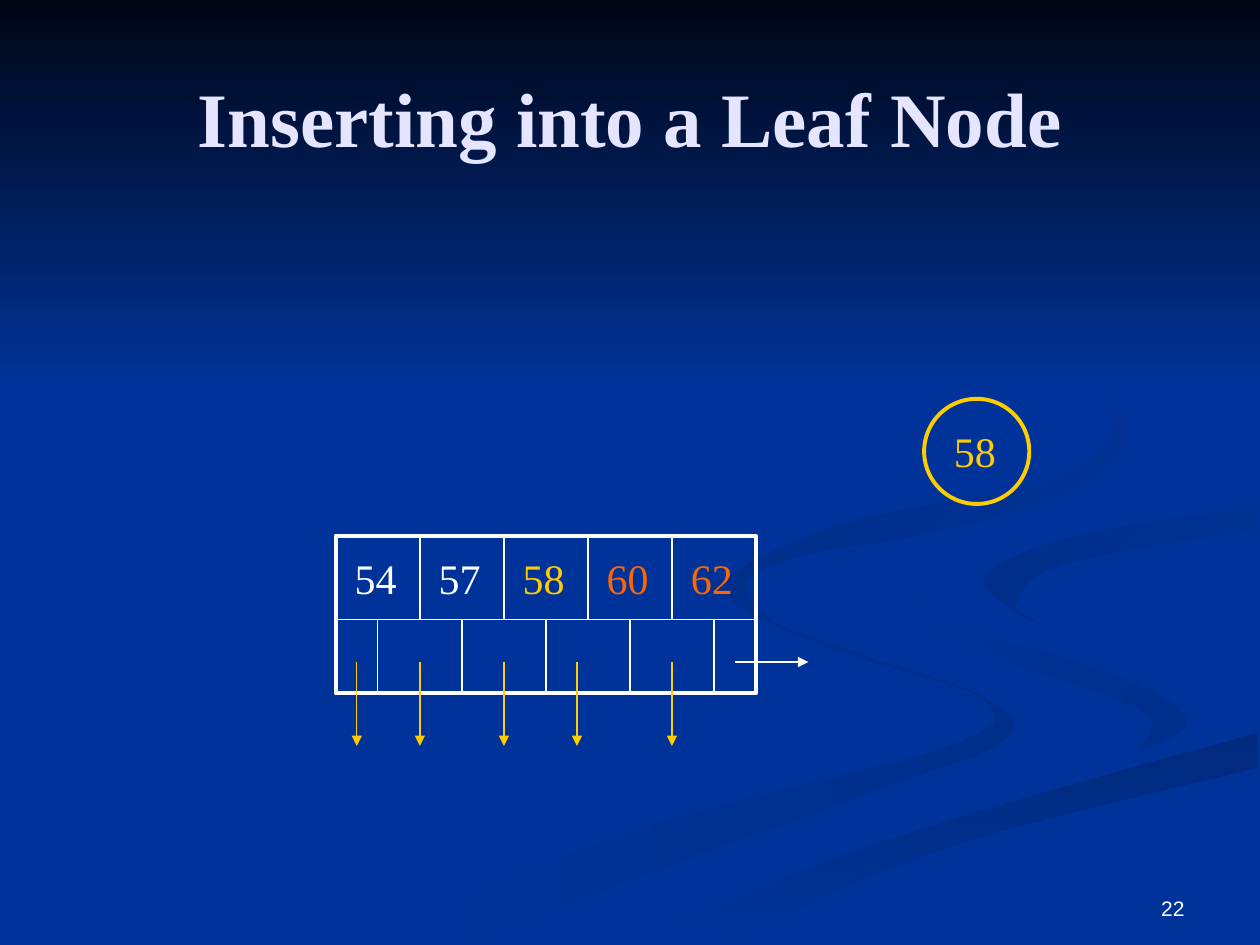
from lxml import etree
from pptx import Presentation
from pptx.dml.color import RGBColor
from pptx.enum.shapes import MSO_CONNECTOR, MSO_SHAPE
from pptx.enum.text import MSO_ANCHOR, MSO_AUTO_SIZE, PP_ALIGN
from pptx.oxml.ns import qn
from pptx.util import Cm, Pt

LEFT, CENTER, RIGHT = PP_ALIGN.LEFT, PP_ALIGN.CENTER, PP_ALIGN.RIGHT
TOP, MIDDLE, BOTTOM = MSO_ANCHOR.TOP, MSO_ANCHOR.MIDDLE, MSO_ANCHOR.BOTTOM
STRAIGHT = MSO_CONNECTOR.STRAIGHT
RECTANGLE, OVAL = MSO_SHAPE.RECTANGLE, MSO_SHAPE.OVAL
FIT_SHAPE = MSO_AUTO_SIZE.SHAPE_TO_FIT_TEXT

SERIF, SANS = "Times New Roman", "Arial"
COLORS = {
    "blue": "003399", "night": "000514", "title": "E5E5FF", "white": "FFFFFF",
    "new": "FFCC00", "shifted": "FF6600",
    "shade1": "002E8B", "shade2": "002A7D", "shade3": "002D86", "shade4": "002B82",
}
SLIDE_W, SLIDE_H = 25.4, 19.05
GRID = 1000  # ribbon points lie on a grid this many units across the slide

# Each ribbon: first colour, last colour, clockwise gradient angle, two edges
RIBBONS = [
    ("shade1", "blue", 180,
     [(575, 459), (594, 485), (682, 519), (781, 553), (797, 588), (676, 634), (361, 749)],
     [(300, 749), (499, 661), (749, 594), (781, 556), (654, 513), (570, 472), (575, 459)]),
    ("shade1", "blue", 225,
     [(724, 464), (758, 498), (870, 530), (943, 570), (894, 605)],
     [(894, 605), (911, 567), (815, 530), (739, 494), (724, 464)]),
    ("shade2", "blue", 90,
     [(503, 749), (630, 693), (764, 647), (998, 581)],
     [(998, 609), (752, 672), (571, 749)]),
    ("blue", "blue", 90,
     [(477, 749), (704, 655), (942, 579), (871, 530), (734, 483), (808, 417), (999, 387)],
     [(999, 402), (781, 463), (999, 538)],
     [(999, 581), (696, 669), (503, 749)]),
    ("blue", "shade3", 225,
     [(826, 496), (781, 460), (850, 427), (998, 402)],
     [(998, 420), (843, 448), (806, 480), (826, 496)]),
    ("blue", "shade4", 225,
     [(762, 233), (864, 291), (889, 362), (786, 412), (624, 444), (593, 470), (622, 500)],
     [(622, 500), (577, 462), (676, 414), (842, 378), (882, 313), (762, 233)]),
]


def rgb(color):
    return RGBColor.from_string(COLORS[color])


def smooth(edge, steps=6):
    """Return points on a Catmull-Rom curve through the points of the edge."""
    padded = [edge[0], *edge, edge[-1]]
    curve = []
    for a, b, c, d in zip(padded, padded[1:], padded[2:], padded[3:]):
        for step in range(steps):
            t = step / steps
            curve.append(tuple(
                q + t / 2 * (r - p + t * (2 * p - 5 * q + 4 * r - s
                                          + t * (3 * (q - r) + s - p)))
                for p, q, r, s in zip(a, b, c, d)))
    return curve + [edge[-1]]


def paint_gradient(shape, first, last, clockwise):
    shape.shadow.inherit = False
    shape.line.fill.background()
    shape.fill.gradient()
    shape.fill.gradient_angle = 360 - clockwise
    for stop, color in zip(shape.fill.gradient_stops, (first, last)):
        stop.color.rgb = rgb(color)


def write(shape, text, *, size=24, font=SERIF, color="white", bold=False,
          align=LEFT, anchor=TOP, wrap=True):
    frame = shape.text_frame
    frame.word_wrap = wrap
    if not wrap:
        frame.auto_size = FIT_SHAPE
    frame.vertical_anchor = anchor
    paragraph = frame.paragraphs[0]
    paragraph.alignment = align
    run = paragraph.add_run()
    run.text = text
    run.font.size, run.font.name, run.font.bold = Pt(size), font, bold
    run.font.color.rgb = rgb(color)


def add_outline(slide, kind, left, top, width, height, color):
    shape = slide.shapes.add_shape(kind, Cm(left), Cm(top), Cm(width), Cm(height))
    shape.shadow.inherit = False
    shape.fill.background()
    shape.line.color.rgb = rgb(color)
    shape.line.width = Pt(2.25)


def add_line(slide, x1, y1, x2, y2, color="white", arrow=False):
    line = slide.shapes.add_connector(STRAIGHT, Cm(x1), Cm(y1), Cm(x2), Cm(y2))
    line.line.color.rgb = rgb(color)
    line.line.width = Pt(0.75)
    properties = line.element.spPr
    if arrow:
        etree.SubElement(properties.find(qn("a:ln")), qn("a:tailEnd"), type="triangle")
    etree.SubElement(properties, qn("a:effectLst"))


def add_key(slide, key, left, top, color):
    box = slide.shapes.add_textbox(Cm(left), Cm(top), Cm(1.45), Cm(1.27))
    write(box, key, color=color, wrap=False)


def add_backdrop(slide, width, sky_height):
    slide.background.fill.solid()
    slide.background.fill.fore_color.rgb = rgb("blue")
    for first, last, angle, *edges in RIBBONS:
        outline = [point for edge in edges for point in smooth(edge)]
        builder = slide.shapes.build_freeform(*outline[0], scale=Cm(width) / GRID)
        builder.add_line_segments(outline[1:], close=True)
        paint_gradient(builder.convert_to_shape(), first, last, angle)
    sky = slide.shapes.add_shape(RECTANGLE, 0, 0, Cm(width), Cm(sky_height))
    paint_gradient(sky, "night", "blue", 90)


def add_title(slide, text, left, top, width, height):
    title = slide.shapes.title
    title.left, title.top = Cm(left), Cm(top)
    title.width, title.height = Cm(width), Cm(height)
    write(title, text, size=44, color="title", bold=True, align=CENTER, anchor=MIDDLE)
    title.element.getparent().append(title.element)  # in front of the backdrop


def add_page_number(slide, number, left, top, width, height):
    box = slide.shapes.add_textbox(Cm(left), Cm(top), Cm(width), Cm(height))
    write(box, number, size=12, font=SANS, align=RIGHT, anchor=BOTTOM)


def add_leaf_node(slide, keys, left, top, width, height):
    """Keys above, pointers below; the last pointer leads to the next leaf."""
    column = width / len(keys)
    middle, bottom = top + column, top + height
    pointer_top = top + 0.8 * height
    add_outline(slide, RECTANGLE, left, top, width, height, "white")
    add_line(slide, left, middle, left + width, middle)
    for i, (key, color) in enumerate(keys):
        x = left + i * column
        add_key(slide, key, x + 0.13, top + 0.21, color)
        if i:
            add_line(slide, x, top, x, middle)
        add_line(slide, x + column / 2, middle, x + column / 2, bottom)
    for position in (0.25, 1, 2, 2.87, 4):
        x = left + position * column
        add_line(slide, x, pointer_top, x, pointer_top + column, "new", arrow=True)
    next_leaf = left + 4.75 * column
    add_line(slide, next_leaf, pointer_top, next_leaf + 1.48, pointer_top, arrow=True)


def add_new_key(slide, key, left, top, diameter):
    add_outline(slide, OVAL, left, top, diameter, diameter, "new")
    add_key(slide, key, left + 0.35, top + 0.42, "new")


def main():
    prs = Presentation()
    prs.slide_width, prs.slide_height = Cm(SLIDE_W), Cm(SLIDE_H)
    slide = prs.slides.add_slide(prs.slide_layouts[5])
    add_backdrop(slide, SLIDE_W, 7.82)
    add_title(slide, "Inserting into a Leaf Node", 1.27, 0.76, 22.86, 3.18)
    add_page_number(slide, "22", 18.2, 17.36, 5.93, 1.32)
    keys = [("54", "white"), ("57", "white"), ("58", "new"),
            ("60", "shifted"), ("62", "shifted")]
    add_leaf_node(slide, keys, 6.77, 10.8, 8.47, 3.18)
    add_new_key(slide, "58", 18.63, 8.04, 2.12)
    prs.save("out.pptx")


if __name__ == "__main__":
    main()
